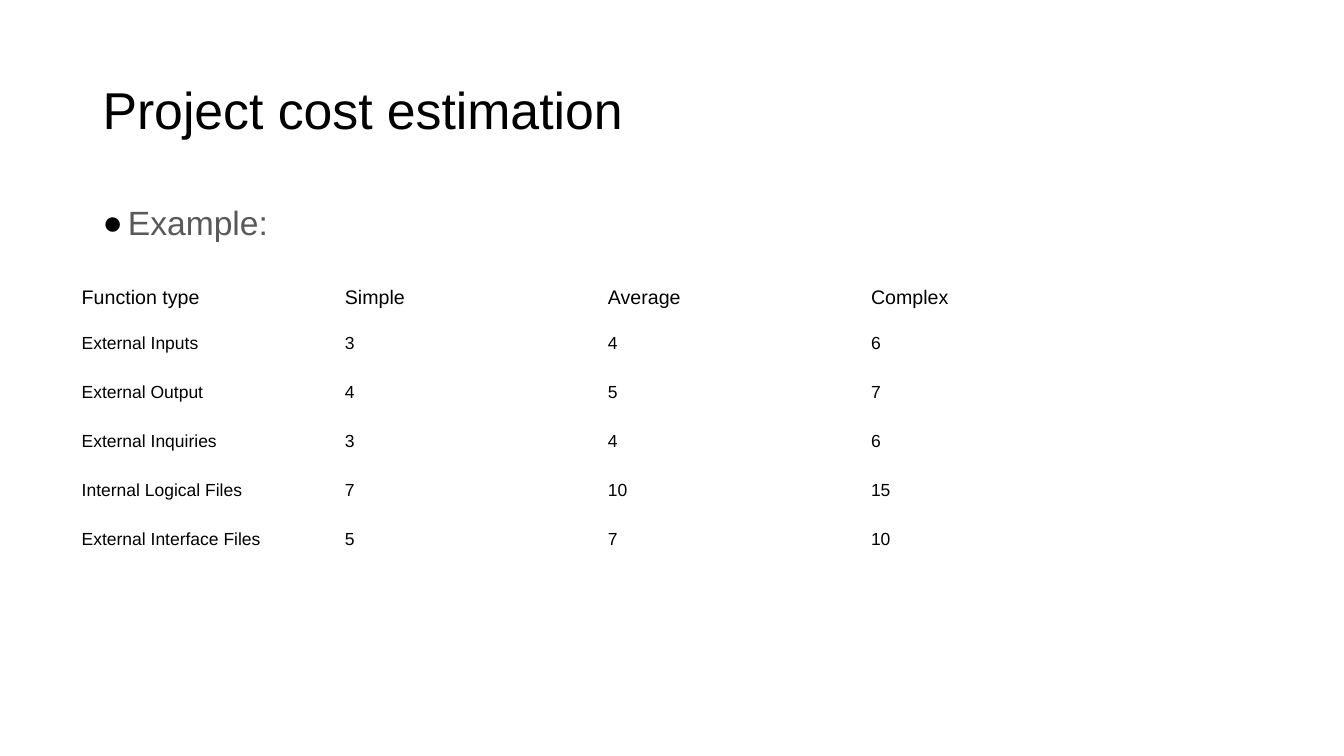
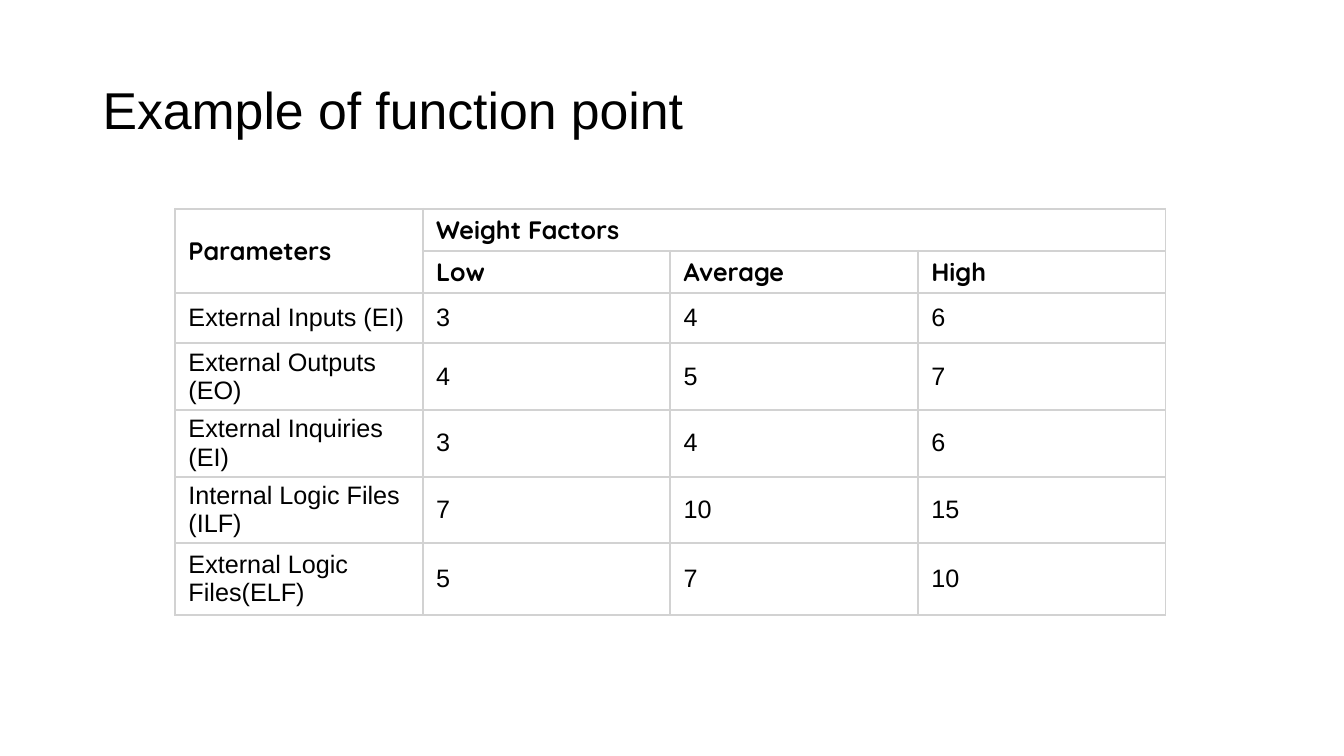
from dataclasses import dataclass

from lxml import etree
from pptx import Presentation
from pptx.dml.color import RGBColor
from pptx.enum import text
from pptx.oxml import ns
from pptx.util import Cm, Pt

BLACK, GREY, WHITE, RULE = "000000", "595959", "FFFFFF", "D2D2D2"
TITLE_ONLY, TITLE_AND_BODY = 5, 1
TITLE_BOX = (2.33, 1.01, 29.21, 3.68)
BODY_BOX = (2.33, 5.08, 29.21, 12.09)


@dataclass(frozen=True)
class TextStyle:
    size: float
    color: str = BLACK
    face: str = "Arial"
    bold: bool = False


@dataclass(frozen=True)
class RowStyle:
    font: TextStyle
    side: float
    edge: float


@dataclass(frozen=True)
class Grid:
    left: float
    top: float
    column: float
    heights: list[float]
    rows: list[tuple[str, ...]]
    header_rows: int
    header: RowStyle
    body: RowStyle
    border: str | None = None


TITLE_STYLE = TextStyle(37)
LIST_STYLE = TextStyle(24, GREY)

COMPLEXITY = Grid(
    1.7, 6.98, 6.63, [1.06] + [1.23] * 5,
    [
        ("Function type", "Simple", "Average", "Complex"),
        ("External Inputs", "3", "4", "6"),
        ("External Output", "4", "5", "7"),
        ("External Inquiries", "3", "4", "6"),
        ("Internal Logical Files", "7", "10", "15"),
        ("External Interface Files", "5", "7", "10"),
    ],
    1, RowStyle(TextStyle(14), 0.36, 0.25), RowStyle(TextStyle(12.5), 0.36, 0.37),
)

WEIGHTS = Grid(
    4.41, 5.26, 6.24, [1.05] * 2 + [1.27] + [1.68] * 3 + [1.8],
    [
        ("Parameters", "Weight Factors", "", ""),
        ("", "Low", "Average", "High"),
        ("External Inputs (EI)", "3", "4", "6"),
        ("External Outputs (EO)", "4", "5", "7"),
        ("External Inquiries (EI)", "3", "4", "6"),
        ("Internal Logic Files (ILF)", "7", "10", "15"),
        ("External Logic Files(ELF)", "5", "7", "10"),
    ],
    2, RowStyle(TextStyle(18, face="Quicksand", bold=True), 0.34, 0.13),
    RowStyle(TextStyle(18), 0.34, 0.13), RULE,
)


def apply(target, values: dict) -> None:
    for name, value in values.items():
        setattr(target, name, value)


def paint(color_format, color: str) -> None:
    color_format.rgb = RGBColor.from_string(color)


def write(paragraph, words: str, style: TextStyle) -> None:
    run = paragraph.add_run()
    run.text = words
    apply(run.font, {"size": Pt(style.size), "name": style.face, "bold": style.bold})
    paint(run.font.color, style.color)


def fill_placeholder(holder, box: tuple, words: str, style: TextStyle, anchor):
    apply(holder, dict(zip(("left", "top", "width", "height"), map(Cm, box))))
    apply(holder.text_frame, {
        "vertical_anchor": anchor, "auto_size": text.MSO_AUTO_SIZE.NONE, "word_wrap": True,
    })
    paragraph = holder.text_frame.paragraphs[0]
    apply(paragraph, {
        "alignment": text.PP_ALIGN.LEFT, "line_spacing": 0.9, "space_before": Pt(0),
    })
    write(paragraph, words, style)
    return paragraph


def add_bullet(paragraph, indent: float) -> None:
    properties = paragraph._p.get_or_add_pPr()
    properties.set("marL", str(Cm(indent)))
    properties.set("indent", str(-Cm(indent)))
    color = etree.SubElement(properties, ns.qn("a:buClr"))
    etree.SubElement(color, ns.qn("a:srgbClr"), val=BLACK)
    etree.SubElement(properties, ns.qn("a:buFont"), typeface="Arial")
    etree.SubElement(properties, ns.qn("a:buChar"), char="●")


def add_borders(cell, color: str) -> None:
    properties = cell._tc.get_or_add_tcPr()
    for position, side in enumerate(("lnL", "lnR", "lnT", "lnB")):
        line = etree.Element(ns.qn(f"a:{side}"), w=str(Pt(1.5)))
        solid = etree.SubElement(line, ns.qn("a:solidFill"))
        etree.SubElement(solid, ns.qn("a:srgbClr"), val=color)
        properties.insert(position, line)


def format_cell(cell, words: str, style: RowStyle, border: str | None) -> None:
    apply(cell, {
        "margin_left": Cm(style.side), "margin_right": Cm(style.side),
        "margin_top": Cm(style.edge), "margin_bottom": Cm(style.edge),
        "vertical_anchor": text.MSO_ANCHOR.MIDDLE,
    })
    cell.fill.solid()
    paint(cell.fill.fore_color, WHITE)
    if words:
        write(cell.text_frame.paragraphs[0], words, style.font)
    if border:
        add_borders(cell, border)


def draw_grid(slide, grid: Grid):
    columns = len(grid.rows[0])
    table = slide.shapes.add_table(
        len(grid.rows), columns, Cm(grid.left), Cm(grid.top),
        Cm(grid.column * columns), Cm(sum(grid.heights)),
    ).table
    apply(table, {"first_row": False, "horz_banding": False})
    for column in table.columns:
        column.width = Cm(grid.column)
    for index, (height, entries) in enumerate(zip(grid.heights, grid.rows)):
        table.rows[index].height = Cm(height)
        style = grid.header if index < grid.header_rows else grid.body
        for position, words in enumerate(entries):
            format_cell(table.cell(index, position), words, style, grid.border)
    return table


def add_titled_slide(deck, layout: int, title: str):
    slide = deck.slides.add_slide(deck.slide_layouts[layout])
    fill_placeholder(slide.shapes.title, TITLE_BOX, title, TITLE_STYLE, text.MSO_ANCHOR.MIDDLE)
    return slide


def main() -> None:
    deck = Presentation()
    apply(deck, {"slide_width": Cm(33.87), "slide_height": Cm(19.05)})

    estimation = add_titled_slide(deck, TITLE_AND_BODY, "Project cost estimation")
    example = fill_placeholder(
        estimation.placeholders[1], BODY_BOX, "Example:", LIST_STYLE, text.MSO_ANCHOR.TOP)
    add_bullet(example, 0.64)
    draw_grid(estimation, COMPLEXITY)

    function_point = add_titled_slide(deck, TITLE_ONLY, "Example of function point")
    weights = draw_grid(function_point, WEIGHTS)
    weights.cell(0, 0).merge(weights.cell(1, 0))
    weights.cell(0, 1).merge(weights.cell(0, 3))

    deck.save("out.pptx")


if __name__ == "__main__":
    main()
